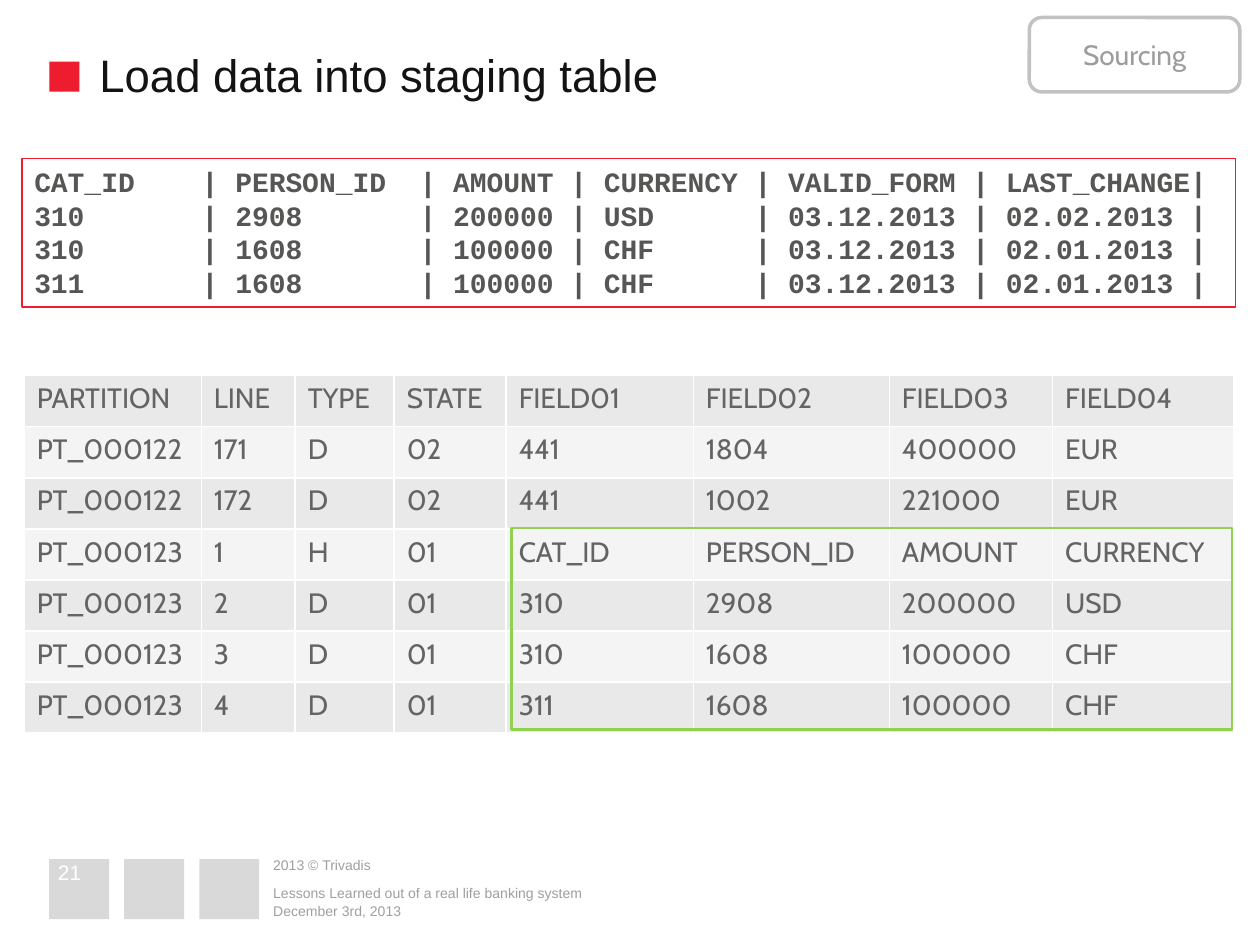
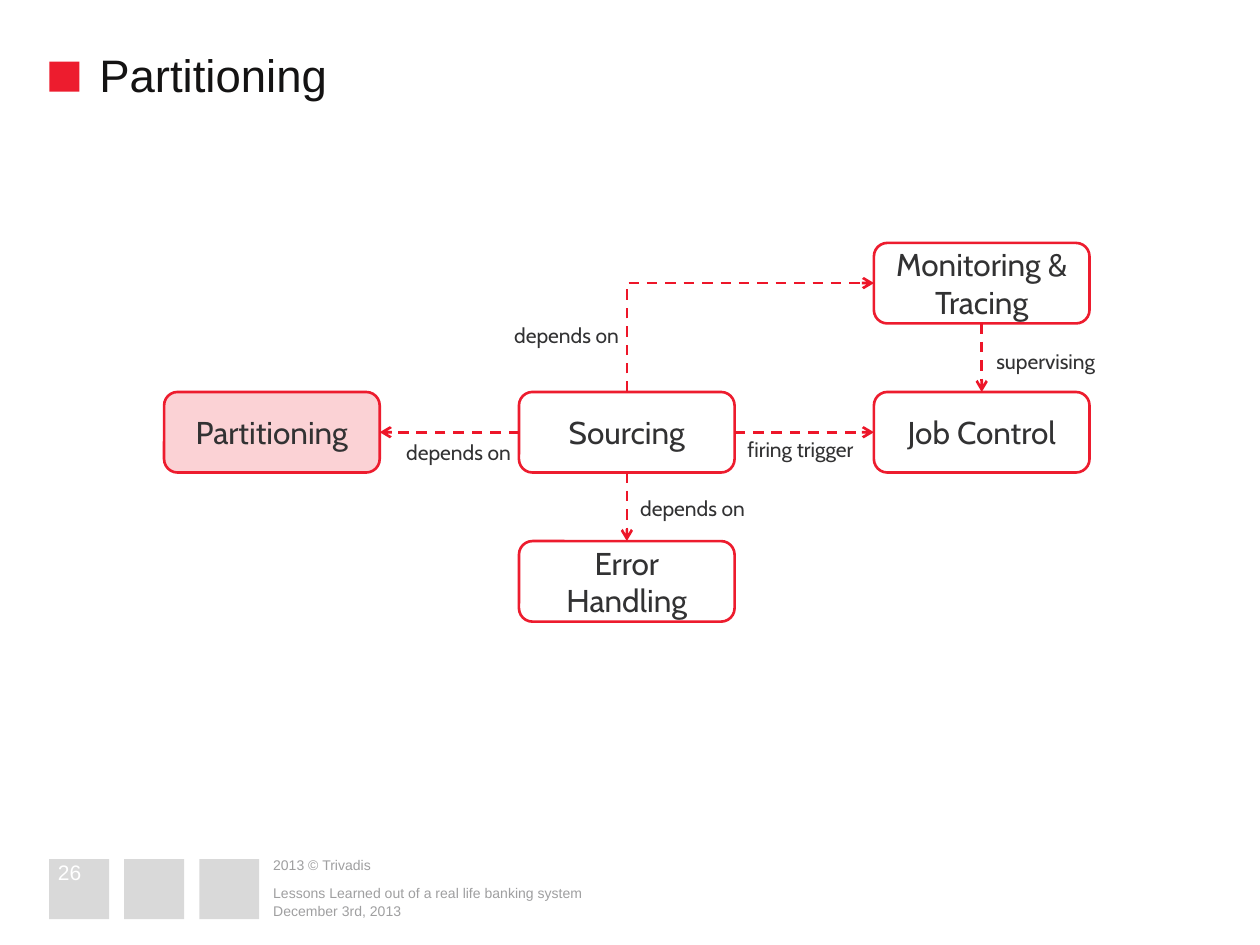
from pptx import Presentation
from pptx.dml.color import RGBColor
from pptx.enum.dml import MSO_LINE
from pptx.enum.shapes import MSO_CONNECTOR, MSO_SHAPE
from pptx.enum.text import MSO_ANCHOR, PP_ALIGN
from pptx.oxml import parse_xml
from pptx.oxml.ns import nsdecls, qn
from pptx.util import Pt

COLORS = {
    "red": "ED1C2E", "arrow": "ED1629", "pink": "FBD2D5", "green": "92D050",
    "white": "FFFFFF", "square": "D9D9D9", "title": "141313",
    "footer": "9F9FA0", "code": "565655", "cell": "636466",
    "band_dark": "E9E9E9", "band_light": "F4F4F4",
    "badge_line": "C2C2C2", "badge_text": "9D9D9D", "node_text": "323233",
}
TOP, LEFT, BOTTOM, RIGHT = range(4)  # connection sites of a box

SOURCE_LINES = """\
CAT_ID    | PERSON_ID  | AMOUNT | CURRENCY | VALID_FORM | LAST_CHANGE|
310       | 2908       | 200000 | USD      | 03.12.2013 | 02.02.2013 |
310       | 1608       | 100000 | CHF      | 03.12.2013 | 02.01.2013 |
311       | 1608       | 100000 | CHF      | 03.12.2013 | 02.01.2013 |"""

STAGING_ROWS = [
    ["PARTITION", "LINE", "TYPE", "STATE", "FIELD01", "FIELD02", "FIELD03", "FIELD04"],
    ["PT_000122", "171", "D", "02", "441", "1804", "400000", "EUR"],
    ["PT_000122", "172", "D", "02", "441", "1002", "221000", "EUR"],
    ["PT_000123", "1", "H", "01", "CAT_ID", "PERSON_ID", "AMOUNT", "CURRENCY"],
    ["PT_000123", "2", "D", "01", "310", "2908", "200000", "USD"],
    ["PT_000123", "3", "D", "01", "310", "1608", "100000", "CHF"],
    ["PT_000123", "4", "D", "01", "311", "1608", "100000", "CHF"],
]
COLUMN_WIDTHS = [101.2, 53.7, 56.6, 64, 107, 112, 93.3, 103.5]
ROW_HEIGHT = 29.2


def rgb(name):
    return RGBColor.from_string(COLORS[name])


def write_text(frame, text, size=8, color="footer", font="Arial", bold=False,
               align=PP_ALIGN.LEFT, anchor=MSO_ANCHOR.TOP):
    """Fill a text frame, one paragraph per line of text."""
    frame.word_wrap = True
    frame.vertical_anchor = anchor
    for index, line in enumerate(text.split("\n")):
        para = frame.add_paragraph() if index else frame.paragraphs[0]
        para.alignment = align
        span = para.add_run()
        span.text = line
        span.font.name, span.font.size, span.font.bold = font, Pt(size), bold
        span.font.color.rgb = rgb(color)


def add_label(page, box, text, **style):
    """Text box without margins."""
    frame = page.shapes.add_textbox(*map(Pt, box)).text_frame
    frame.margin_left = frame.margin_right = 0
    frame.margin_top = frame.margin_bottom = 0
    write_text(frame, text, **style)


def add_box(page, box, kind=MSO_SHAPE.RECTANGLE, fill=None, line=None, weight=1.5):
    shape = page.shapes.add_shape(kind, *map(Pt, box))
    shape.shadow.inherit = False
    if fill:
        shape.fill.solid()
        shape.fill.fore_color.rgb = rgb(fill)
    else:
        shape.fill.background()
    if line:
        shape.line.color.rgb = rgb(line)
        shape.line.width = Pt(weight)
    else:
        shape.line.fill.background()
    return shape


def add_heading(page, box, title):
    left, top, width, height = box
    add_box(page, (left, top + 8.5, 17.2, 17.2), fill="red")
    add_label(page, (left + 28.6, top, width - 28.6, height), title,
              size=26, color="title")


def add_footer(page, box, number):
    left, top, _, height = box
    # Three squares, the first with the slide number
    for index in range(3):
        add_box(page, (left + index * 42.9, top + 2, 34.3, 34.3), fill="square")
    add_label(page, (left + 5, top + 3.5, 34.3, 12), str(number),
              size=12, color="white", anchor=MSO_ANCHOR.MIDDLE)
    # Copyright, event and date
    text_left = left + 128
    add_label(page, (text_left, top, 97, 11), "2013 © Trivadis",
              anchor=MSO_ANCHOR.MIDDLE)
    for offset, text in [(13.2, "Lessons Learned out of a real life banking system"),
                         (23.5, "December 3rd, 2013")]:
        add_label(page, (text_left, top + offset, 386, 13), text,
                  anchor=MSO_ANCHOR.BOTTOM)


def add_page(deck, title, number):
    page = deck.slides.add_slide(deck.slide_layouts[6])
    add_heading(page, (28.2, 26.7, 673, 29), title)
    add_footer(page, (28.1, 489, 514, 37), number)
    return page


def add_source_listing(page, box):
    listing = add_box(page, box, line="red", weight=0.75)
    write_text(listing.text_frame, SOURCE_LINES, size=16, color="code",
               font="Courier New", bold=True)


def style_cell(cell, fill):
    # Borders come before the fill in the cell properties
    properties = cell._tc.get_or_add_tcPr()
    for side in "LRTB":
        properties.append(parse_xml(
            f'<a:ln{side} {nsdecls("a")} w="12700"><a:solidFill>'
            f'<a:srgbClr val="{COLORS["white"]}"/></a:solidFill></a:ln{side}>'))
    cell.fill.solid()
    cell.fill.fore_color.rgb = rgb(fill)


def add_staging_table(page, left, top):
    size = (sum(COLUMN_WIDTHS), ROW_HEIGHT * len(STAGING_ROWS))
    table = page.shapes.add_table(len(STAGING_ROWS), len(COLUMN_WIDTHS),
                                  Pt(left), Pt(top), *map(Pt, size)).table
    table.first_row = table.horz_banding = False
    for column, width in zip(table.columns, COLUMN_WIDTHS):
        column.width = Pt(width)
    for row_index, values in enumerate(STAGING_ROWS):
        table.rows[row_index].height = Pt(ROW_HEIGHT)
        for column_index, value in enumerate(values):
            cell = table.cell(row_index, column_index)
            style_cell(cell, "band_light" if row_index % 2 else "band_dark")
            write_text(cell.text_frame, value, size=16, color="cell", font="Cabin")
    # Frame around the loaded file: last four rows and columns
    add_box(page, (left + sum(COLUMN_WIDTHS[:4]) + 3, top + 3 * ROW_HEIGHT - 0.5,
                   sum(COLUMN_WIDTHS[4:]) - 4, 4 * ROW_HEIGHT - 1.5), line="green")


def add_badge(page, box, text):
    badge = add_box(page, box, MSO_SHAPE.ROUNDED_RECTANGLE, "white", "badge_line", 2)
    write_text(badge.text_frame, text, size=16, color="badge_text", font="Cabin",
               align=PP_ALIGN.CENTER, anchor=MSO_ANCHOR.MIDDLE)


def add_arrow(page, start, start_site, end, end_site):
    bent = start_site == TOP
    kind = MSO_CONNECTOR.ELBOW if bent else MSO_CONNECTOR.STRAIGHT
    arrow = page.shapes.add_connector(kind, 0, 0, 0, 0)
    arrow.begin_connect(start, start_site)
    arrow.end_connect(end, end_site)
    arrow.line.color.rgb = rgb("arrow")
    arrow.line.width = Pt(1.5)
    arrow.line.dash_style = MSO_LINE.DASH
    arrow.line._get_or_add_ln().append(
        parse_xml(f'<a:tailEnd {nsdecls("a")} type="arrow"/>'))
    properties = arrow._element.spPr
    properties.append(parse_xml(f'<a:effectLst {nsdecls("a")}/>'))
    if bent:
        # One corner, up then right: a turned and mirrored bentConnector2
        properties.find(qn("a:prstGeom")).set("prst", "bentConnector2")
        width, height = arrow.width, arrow.height
        arrow.left += (width - height) // 2
        arrow.top += (height - width) // 2
        arrow.width, arrow.height = height, width
        frame = properties.find(qn("a:xfrm"))
        for name, value in [("rot", "5400000"), ("flipH", "1"), ("flipV", "1")]:
            frame.set(name, value)


def add_component_diagram(page, left, top):
    # Components on a grid of three columns and three rows
    node_width, node_height, column_step, row_step = 123.2, 46, 202.8, 85.2
    components = [
        ("Error Handling", 1, 2, None), ("Monitoring & Tracing", 2, 0, "white"),
        ("Job Control", 2, 1, "white"), ("Sourcing", 1, 1, "white"),
        ("Partitioning", 0, 1, "pink"),
    ]
    nodes = {}
    for name, column, row, fill in components:
        box = (left + column * column_step, top + row * row_step,
               node_width, node_height)
        nodes[name] = add_box(page, box, MSO_SHAPE.ROUNDED_RECTANGLE, fill, "red")
        write_text(nodes[name].text_frame, name, size=18, color="node_text",
                   font="Cabin", align=PP_ALIGN.CENTER, anchor=MSO_ANCHOR.MIDDLE)

    # Relations, each with its label
    relations = [
        ("Sourcing", LEFT, "Partitioning", RIGHT, "depends on", 138.3, 112.5),
        ("Sourcing", TOP, "Monitoring & Tracing", LEFT, "depends on", 200, 45.5),
        ("Sourcing", BOTTOM, "Error Handling", TOP, "depends on", 272, 144.5),
        ("Sourcing", RIGHT, "Job Control", LEFT, "firing trigger", 333.3, 110.5),
        ("Monitoring & Tracing", BOTTOM, "Job Control", TOP, "supervising", 475.5, 60.5),
    ]
    for start, start_site, end, end_site, text, label_left, label_top in relations:
        add_arrow(page, nodes[start], start_site, nodes[end], end_site)
        add_label(page, (left + label_left, top + label_top, 76, 14.5), text,
                  size=12, color="node_text", font="Cabin")


def build_staging_page(deck):
    page = add_page(deck, "Load data into staging table", 21)
    add_source_listing(page, (12.5, 90.5, 693.5, 85))
    add_staging_table(page, 13.8, 214.6)
    add_badge(page, (588.2, 10, 120.3, 42.5), "Sourcing")


def build_partitioning_page(deck):
    page = add_page(deck, "Partitioning", 26)
    add_component_diagram(page, 93.8, 138.8)


def main():
    deck = Presentation()
    deck.slide_width, deck.slide_height = Pt(720), Pt(540)
    build_staging_page(deck)
    build_partitioning_page(deck)
    deck.save("out.pptx")


if __name__ == "__main__":
    main()
